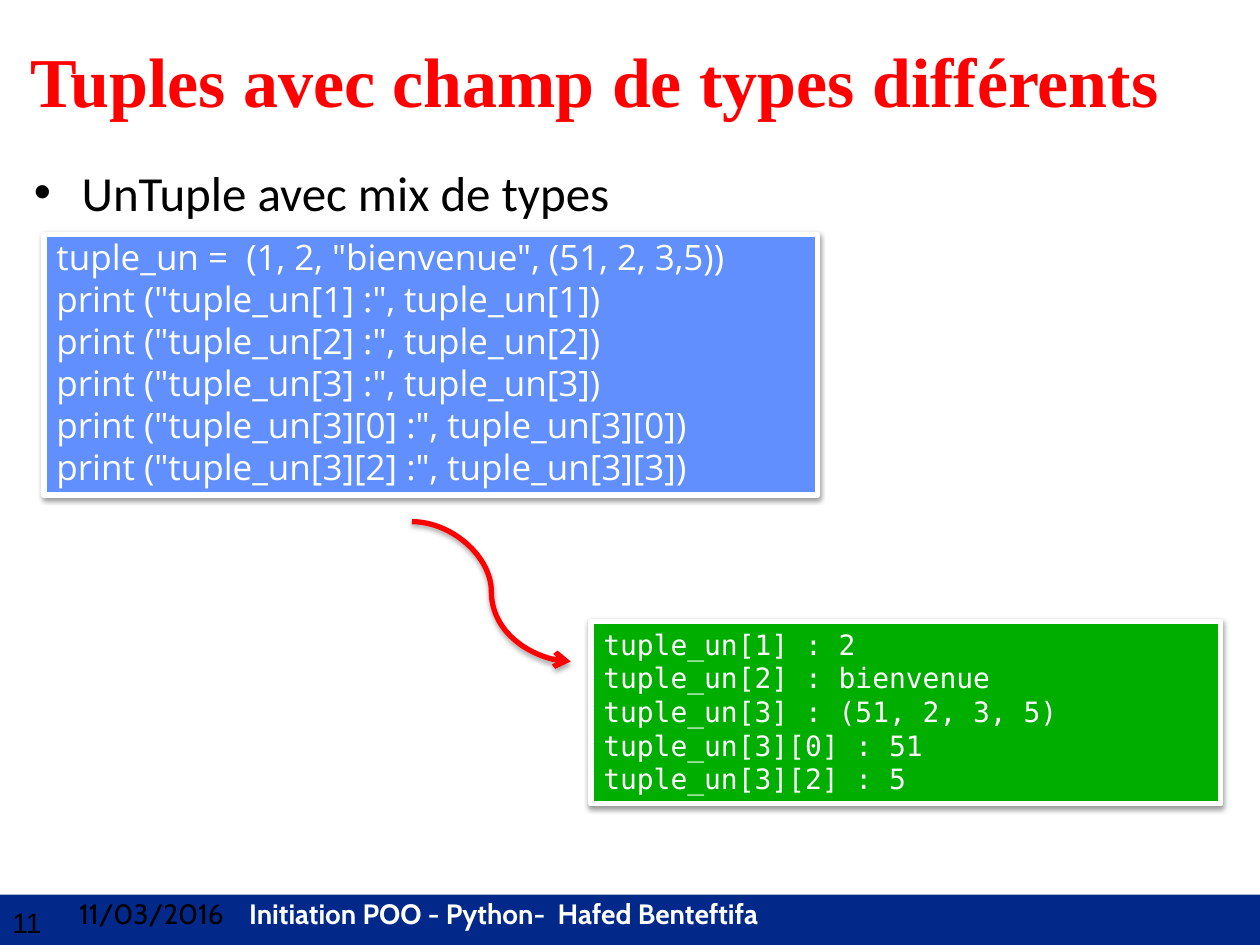
import pptx
import pptx.util
import pptx.dml.color
import pptx.enum.shapes
import pptx.enum.text
import pptx.oxml
import pptx.oxml.ns

Inches, Pt = pptx.util.Inches, pptx.util.Pt
RGBColor = pptx.dml.color.RGBColor
ANCHOR = pptx.enum.text.MSO_ANCHOR
SHAPE = pptx.enum.shapes.MSO_SHAPE
CONNECTOR = pptx.enum.shapes.MSO_CONNECTOR

BLACK = RGBColor(0x00, 0x00, 0x00)
WHITE = RGBColor(0xFF, 0xFF, 0xFF)
RED = RGBColor(0xFF, 0x00, 0x00)
NAVY = RGBColor(0x02, 0x29, 0x8A)
BLUE = RGBColor(0x61, 0x8F, 0xFD)
GREEN = RGBColor(0x00, 0xAE, 0x00)

CODE = [
    'tuple_un =  (1, 2, "bienvenue", (51, 2, 3,5))',
    'print ("tuple_un[1] :", tuple_un[1])',
    'print ("tuple_un[2] :", tuple_un[2])',
    'print ("tuple_un[3] :", tuple_un[3])',
    'print ("tuple_un[3][0] :", tuple_un[3][0])',
    'print ("tuple_un[3][2] :", tuple_un[3][3])',
]
OUTPUT = [
    "tuple_un[1] : 2",
    "tuple_un[2] : bienvenue",
    "tuple_un[3] : (51, 2, 3, 5)",
    "tuple_un[3][0] : 51",
    "tuple_un[3][2] : 5",
]


def add_xml(parent, xml):
    """Append one DrawingML element to parent."""
    ns = pptx.oxml.ns.nsdecls("a")
    parent.append(pptx.oxml.parse_xml(xml.replace(">", f" {ns}>", 1)))


def add_run(p, text, font="Calibri", size=16, color=BLACK, bold=False):
    """Add formatted text to a paragraph."""
    r = p.add_run()
    r.text = text
    r.font.name, r.font.size, r.font.bold = font, Pt(size), bold
    r.font.color.rgb = color


def add_text(s, left, top, width, height, anchor=ANCHOR.TOP):
    """Add a wrapping text box and return its first paragraph."""
    tf = s.shapes.add_textbox(Inches(left), Inches(top), Inches(width), Inches(height)).text_frame
    tf.word_wrap = True
    tf.vertical_anchor = anchor
    return tf.paragraphs[0]


def add_shadow(sp, alpha, distance):
    """Give a shape or connector a soft shadow straight below it."""
    add_xml(sp._element.spPr, f'<a:effectLst><a:outerShdw blurRad="{Pt(3.1)}" '
            f'dist="{Pt(distance)}" dir="5400000" rotWithShape="0"><a:srgbClr val="000000">'
            f'<a:alpha val="{alpha * 1000}"/></a:srgbClr></a:outerShdw></a:effectLst>')


def add_rect(s, left, top, width, height, fill):
    """Add a filled rectangle without outline."""
    sp = s.shapes.add_shape(SHAPE.RECTANGLE, Inches(left), Inches(top), Inches(width), Inches(height))
    sp.fill.solid()
    sp.fill.fore_color.rgb = fill
    sp.line.fill.background()
    return sp


def add_code(s, left, top, width, height, fill, lines, font, size, anchor, inset_top):
    """Add a framed panel holding lines of code."""
    sp = add_rect(s, left, top, width, height, fill)
    sp.line.color.rgb = WHITE
    sp.line.width = Pt(3)
    add_shadow(sp, 38, 1.6)
    tf = sp.text_frame
    tf.word_wrap = True
    tf.vertical_anchor = anchor
    tf.margin_top = Inches(inset_top)
    for i, line in enumerate(lines):
        p = tf.add_paragraph() if i else tf.paragraphs[0]
        p.alignment = pptx.enum.text.PP_ALIGN.LEFT
        p.line_spacing = Pt(1.2 * size)
        add_run(p, line, font=font, size=size, color=WHITE)


def add_arrow(s, x1, y1, x2, y2):
    """Add a curved red arrow."""
    cx = s.shapes.add_connector(CONNECTOR.CURVE, Inches(x1), Inches(y1), Inches(x2), Inches(y2))
    cx.line.color.rgb = RED
    cx.line.width = Pt(3)
    add_xml(cx.line._get_or_add_ln(), '<a:tailEnd type="arrow"></a:tailEnd>')
    add_shadow(cx, 35, 1.8)


def add_footer(s):
    """Add the bottom band with number, date and course name."""
    add_rect(s, 0, 7.1, 10, 0.4, NAVY).shadow.inherit = False
    add_run(add_text(s, 0, 7.14, 0.58, 0.63), "11", font="Arial")
    p = add_text(s, 0.53, 7.07, 9.47, 0.64)
    add_xml(p._p.get_or_add_pPr(),
            f'<a:tabLst><a:tab pos="{Inches(1.35)}" algn="l"/></a:tabLst>')
    add_run(p, "11/03/2016\t", font="Cabin")
    add_run(p, "Initiation POO - Python-  Hafed Benteftifa", font="Cabin", color=WHITE, bold=True)


def add_bullet(s, text):
    """Add the bulleted body line."""
    p = add_text(s, 0.17, 1.24, 9.67, 0.6)
    pPr = p._p.get_or_add_pPr()
    pPr.set("marL", str(Inches(0.38)))
    pPr.set("indent", str(-Inches(0.38)))
    add_xml(pPr, '<a:spcBef><a:spcPct val="20000"/></a:spcBef>')
    add_xml(pPr, '<a:buFont typeface="Arial"></a:buFont>')
    add_xml(pPr, '<a:buChar char="•"></a:buChar>')
    add_run(p, text, size=28)


def main():
    """Build the slide."""
    prs = pptx.Presentation()
    prs.slide_width, prs.slide_height = Inches(10), Inches(7.5)
    s = prs.slides.add_slide(prs.slide_layouts[6])
    add_footer(s)
    add_run(add_text(s, 0.14, 0.17, 9.68, 0.93, ANCHOR.MIDDLE),
            "Tuples avec champ de types différents",
            font="Times New Roman", size=40, color=RED, bold=True)
    add_bullet(s, "UnTuple avec mix de types")
    add_code(s, 0.35, 1.86, 6.14, 2.07, BLUE, CODE, "Open Sans", 20, ANCHOR.MIDDLE, 0)
    add_code(s, 4.69, 4.93, 5, 1.45, GREEN, OUTPUT, "DejaVu Sans Mono", 16, ANCHOR.TOP, 0.05)
    add_arrow(s, 3.27, 4.14, 4.53, 5.25)
    prs.save("out.pptx")


main()
